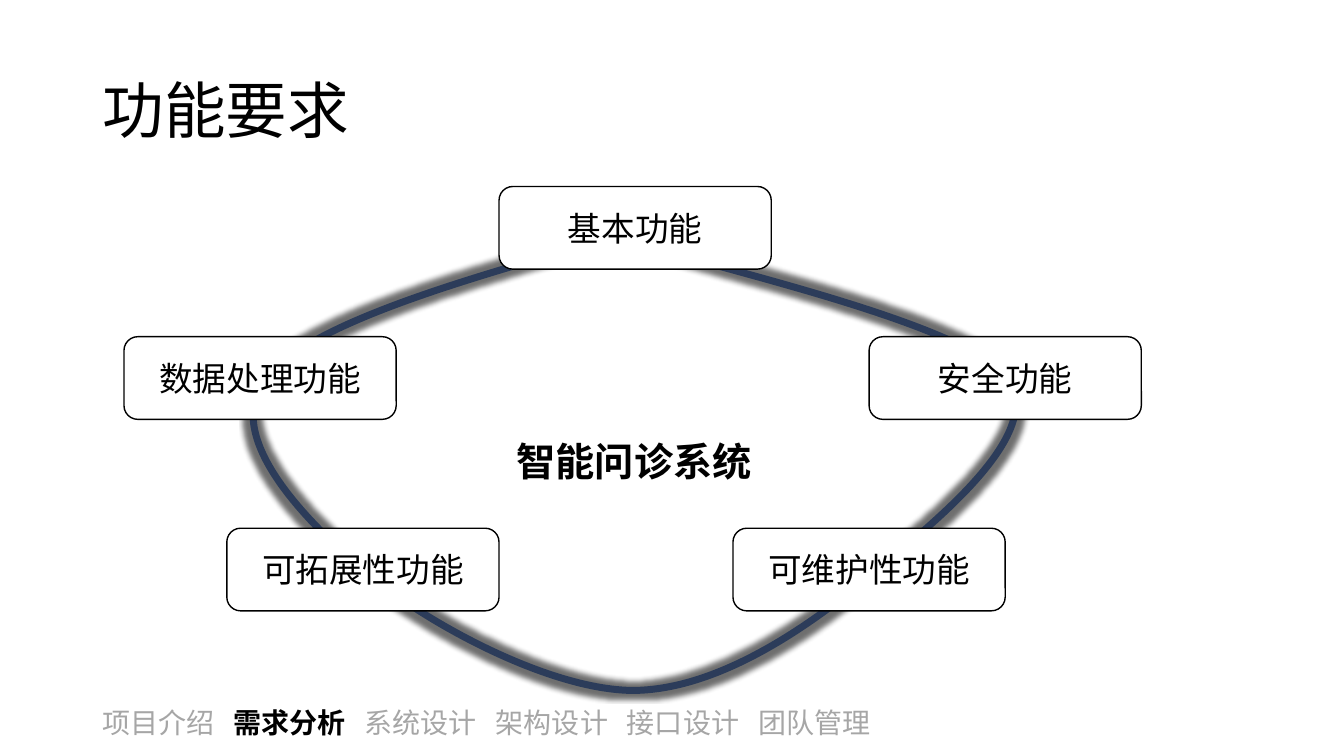
from lxml import etree
from pptx import Presentation
from pptx import util as u
from pptx.dml.color import RGBColor
from pptx.enum import shapes, text
from pptx.oxml import ns

# Content
TITLE = "功能要求"
SYSTEM = "智能问诊系统"
SECTIONS = ["项目介绍", "需求分析", "系统设计", "架构设计", "接口设计", "团队管理"]
CURRENT = "需求分析"
# label, column, row
FUNCTIONS = [
    ("数据处理功能", 0, 1),
    ("可拓展性功能", 1, 2),
    ("可维护性功能", 3, 2),
    ("安全功能", 4, 1),
    ("基本功能", 2, 0),
]

# Layout in inches
WIDTH, HEIGHT = 13.33, 7.5
MARGIN = 0.92
COLUMNS = [1.23, 2.25, 4.95, 7.27, 8.62]
ROWS = [1.85, 3.34, 5.24]
CARD = (2.7, 0.82)
TITLE_BOX = (MARGIN, 0.4, 11.5, 1.45)
FOOTER_BOX = (MARGIN, 6.95, 10.94, 0.44)
TAB_STEP = 1.3
# The ring starts at a point; each curve adds two handles and an end
RING_BOX = (2.51, 2.29, 7.56, 4.56)
RING_START = (6.32, 2.29)
RING_CURVES = [
    ((4.71, 2.74), (3.09, 3.19), (2.64, 3.75)),
    ((2.19, 4.31), (3.01, 5.15), (3.62, 5.67)),
    ((4.22, 6.18), (5.44, 6.84), (6.27, 6.85)),
    ((7.11, 6.85), (8.01, 6.23), (8.63, 5.71)),
    ((9.25, 5.2), (10.38, 4.31), (10, 3.76)),
    ((9.62, 3.21), (6.99, 2.64), (6.37, 2.42)),
]

THEME = {
    "ink": "000000", "paper": "FFFFFF", "muted": "A6A6A6", "ring": "1E3256",
    "latin": "Arial", "cjk": "Noto Sans CJK SC",
    "title": 44, "system": 28, "card": 24, "footer": 20,
}


def color(name):
    return RGBColor.from_string(THEME[name])


def add_xml(parent, tag, **attributes):
    return etree.SubElement(parent, ns.qn(tag), attributes)


def add_span(para, words, size, ink="ink", bold=False, font="cjk"):
    span = para.add_run()
    span.text = words
    formats = {"size": u.Pt(THEME[size]), "bold": bold, "name": THEME[font]}
    for key, value in formats.items():
        setattr(span.font, key, value)
    span.font.color.rgb = color(ink)
    add_xml(span.font._element, "a:ea", typeface=THEME["cjk"])


def set_frame(box, anchor=text.MSO_ANCHOR.MIDDLE, align=text.PP_ALIGN.CENTER):
    frame = box.text_frame
    frame.word_wrap = True
    frame.vertical_anchor = anchor
    frame.paragraphs[0].alignment = align
    return frame.paragraphs[0]


def add_box(page, place, **frame_formats):
    box = page.shapes.add_textbox(*map(u.Inches, place))
    return set_frame(box, align=text.PP_ALIGN.LEFT, **frame_formats)


def add_footer(page):
    para = add_box(page, FOOTER_BOX, anchor=text.MSO_ANCHOR.TOP)
    tabs = add_xml(para._p.get_or_add_pPr(), "a:tabLst")
    for index, section in enumerate(SECTIONS):
        if index:
            add_xml(tabs, "a:tab", pos=str(u.Inches(index * TAB_STEP)), algn="l")
        active = section == CURRENT
        lead = "\t" if index else ""
        add_span(para, lead + section, "footer", "ink" if active else "muted", active)


def draw_curves(outline):
    """Fill the outline with cubic curves measured from the ring's corner."""
    left, top = RING_BOX[:2]

    def add_point(parent, point):
        add_xml(parent, "a:pt", x=str(u.Inches(point[0] - left)),
                y=str(u.Inches(point[1] - top)))

    for child in list(outline):
        outline.remove(child)
    add_point(add_xml(outline, "a:moveTo"), RING_START)
    for curve in RING_CURVES:
        bend = add_xml(outline, "a:cubicBezTo")
        for point in curve:
            add_point(bend, point)


def add_ring(page):
    left, top, width, height = map(u.Inches, RING_BOX)
    builder = page.shapes.build_freeform(left, top)
    builder.add_line_segments([(left + width, top + height)], close=False)
    ring = builder.convert_to_shape()
    draw_curves(ring._element.spPr.find(".//" + ns.qn("a:path")))
    ring.fill.background()
    ring.line.width = u.Pt(5)
    ring.line.color.rgb = color("ring")
    ink = ring.line._ln.find(".//" + ns.qn("a:srgbClr"))
    add_xml(ink, "a:alpha", val="82000")
    # Soft dark halo around the line
    ring.shadow.inherit = False
    effects = ring._element.spPr.find(ns.qn("a:effectLst"))
    halo = add_xml(effects, "a:glow", rad=str(u.Pt(7)))
    shade = add_xml(halo, "a:srgbClr", val=THEME["ink"])
    add_xml(shade, "a:alpha", val="57000")
    add_span(set_frame(ring), SYSTEM, "system", bold=True)


def add_card(page, label, column, row):
    place = (COLUMNS[column], ROWS[row], *CARD)
    card = page.shapes.add_shape(shapes.MSO_SHAPE.ROUNDED_RECTANGLE, *map(u.Inches, place))
    card.shadow.inherit = False
    card.fill.solid()
    card.fill.fore_color.rgb = color("paper")
    card.line.color.rgb = color("ink")
    card.line.width = u.Pt(1)
    add_span(set_frame(card), label, "card")


def main():
    deck = Presentation()
    deck.slide_width, deck.slide_height = u.Inches(WIDTH), u.Inches(HEIGHT)
    page = deck.slides.add_slide(deck.slide_layouts[6])
    add_footer(page)
    heading = add_box(page, TITLE_BOX)
    heading.line_spacing = 0.9
    add_span(heading, TITLE, "title", font="latin")
    add_ring(page)
    for function in FUNCTIONS:
        add_card(page, *function)
    deck.save("out.pptx")


if __name__ == "__main__":
    main()
